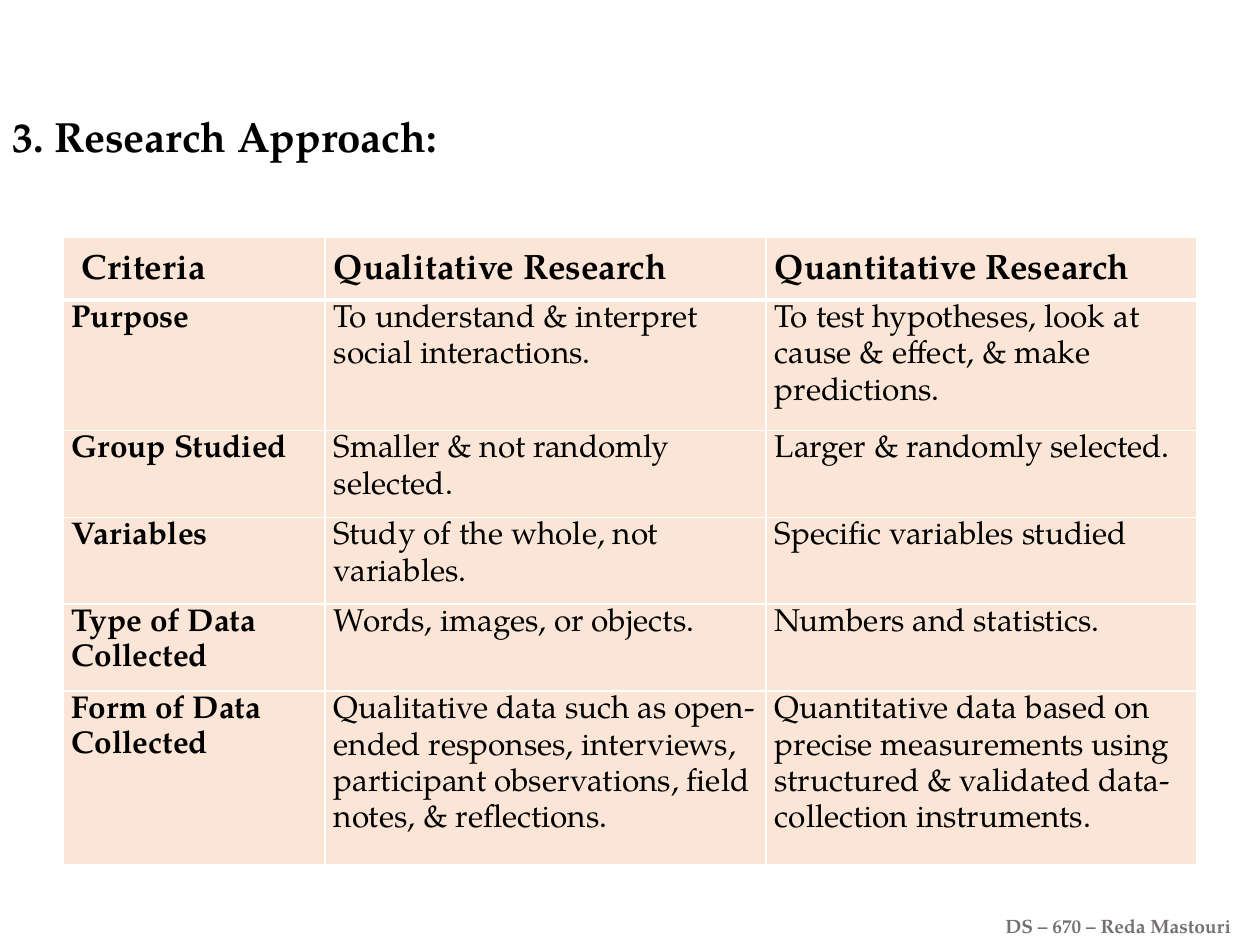
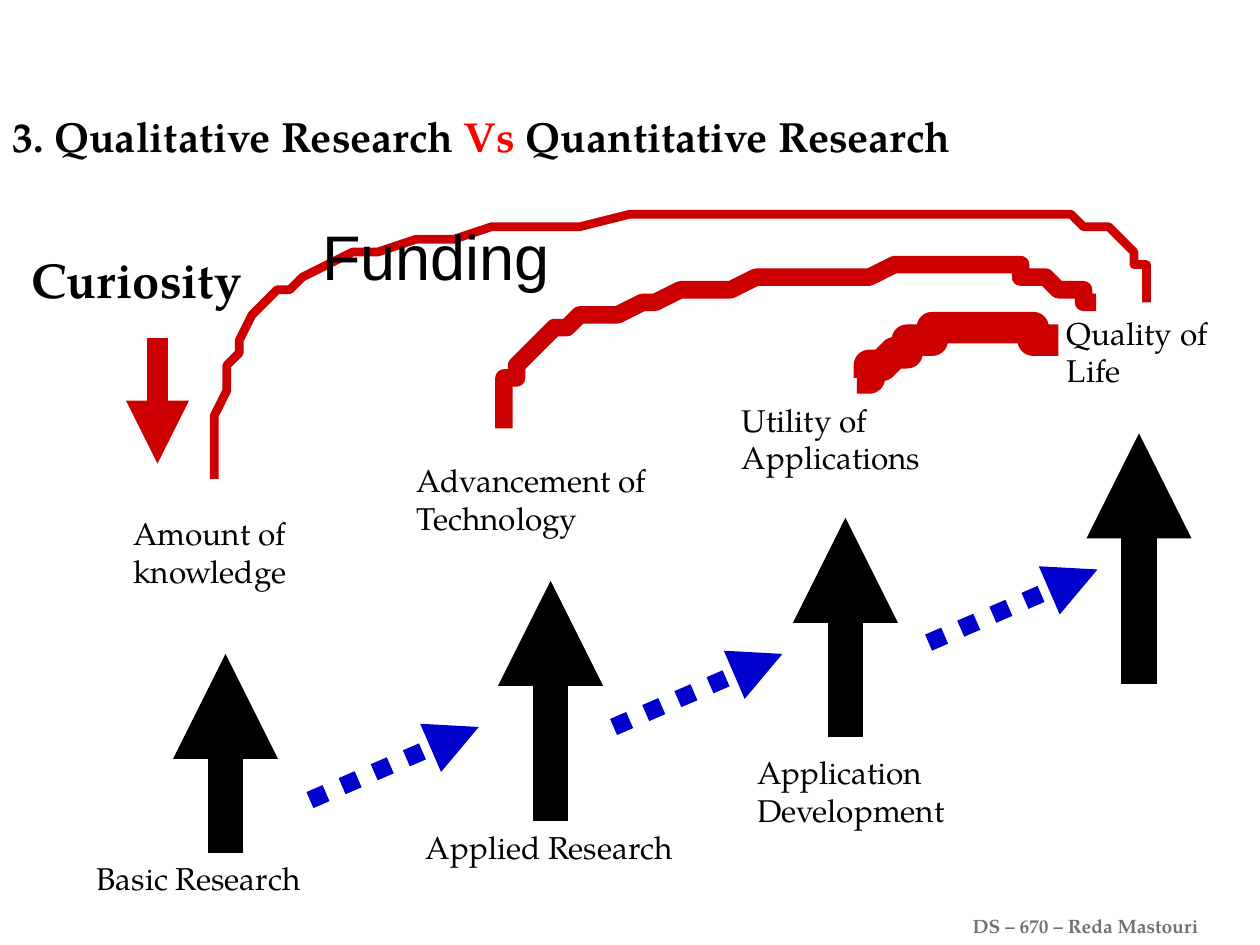
from lxml.etree import SubElement
from pptx import Presentation
from pptx.dml.color import RGBColor
from pptx.enum.dml import MSO_LINE
from pptx.enum.shapes import MSO_CONNECTOR
from pptx.enum.text import MSO_ANCHOR, MSO_AUTO_SIZE
from pptx.oxml import parse_xml
from pptx.oxml.ns import nsdecls, qn
from pptx.util import Inches, Pt

# Shared look
BLACK = RGBColor(0x00, 0x00, 0x00)
WHITE = RGBColor(0xFF, 0xFF, 0xFF)
GREY = RGBColor(0x76, 0x71, 0x71)
RED = RGBColor(0xFF, 0x00, 0x00)
DARK_RED = RGBColor(0xCC, 0x00, 0x00)
BLUE = RGBColor(0x00, 0x00, 0xCC)
PEACH = RGBColor(0xFB, 0xE5, 0xD6)
SERIF, SANS = "TeX Gyre Pagella", "Arial"

# Grid of 100 columns and 75 rows over the slide
prs = Presentation()
prs.slide_width, prs.slide_height = Inches(10), Inches(7.5)
UNIT = prs.slide_width // 100


def add_text(s, x, y, w, h, lines, size, bold=False, font=SERIF, wrap=False):
    """Each line is a list of (text, colour) runs."""
    tf = s.shapes.add_textbox(*(round(v * UNIT) for v in (x, y, w, h))).text_frame
    tf.word_wrap = wrap
    tf.auto_size = MSO_AUTO_SIZE.SHAPE_TO_FIT_TEXT
    for i, runs in enumerate(lines):
        p = tf.add_paragraph() if i else tf.paragraphs[0]
        for text, colour in runs:
            r = p.add_run()
            r.text = text
            r.font.name, r.font.size, r.font.bold = font, Pt(size), bold
            r.font.color.rgb = colour


def add_arrow(s, x1, y1, x2, y2, colour, width, dash=None):
    c = s.shapes.add_connector(
        MSO_CONNECTOR.STRAIGHT, *(round(v * UNIT) for v in (x1, y1, x2, y2)))
    c.line.color.rgb, c.line.width = colour, Pt(width)
    if dash:
        c.line.dash_style = dash
    SubElement(c.line._get_or_add_ln(), qn("a:tailEnd"), type="triangle")
    SubElement(c._element.spPr, qn("a:effectLst"))


# Both slides: footer and title
slides = []
for footer_x, title in (
    (78.8, [("3. Research Approach:", BLACK)]),
    (76.2, [("3. Qualitative Research ", BLACK), ("Vs", RED),
            (" Quantitative Research", BLACK)]),
):
    s = prs.slides.add_slide(prs.slide_layouts[6])
    add_text(s, footer_x, 72.1, 24.5, 2.9, [[("DS – 670 – Reda Mastouri", GREY)]],
             11, bold=True, wrap=True)
    add_text(s, 0, 8.3, 98.4, 5, [title], 24, bold=True, wrap=True)
    slides.append(s)
table_slide, flow_slide = slides

# Slide 1: comparison table
criteria = [
    ("Criteria", "Qualitative Research", "Quantitative Research"),
    ("Purpose", "To understand & interpret social interactions.",
     "To test hypotheses, look at cause & effect, & make predictions."),
    ("Group Studied", "Smaller & not randomly selected.",
     "Larger & randomly selected."),
    ("Variables", "Study of the whole, not variables.",
     "Specific variables studied"),
    ("Type of Data Collected", "Words, images, or objects.",
     "Numbers and statistics."),
    ("Form of Data Collected",
     "Qualitative data such as open-ended responses, interviews, "
     "participant observations, field notes, & reflections.",
     "Quantitative data based on precise measurements using structured "
     "& validated data-collection instruments."),
]
widths, heights = (20.8, 35, 34.2), [5] + [6] * 5
table = table_slide.shapes.add_table(
    len(heights), len(widths), 5 * UNIT, round(18.8 * UNIT),
    90 * UNIT, sum(heights) * UNIT).table
table.horz_banding = False
for column, width in zip(table.columns, widths):
    column.width = round(width * UNIT)
for i, (row, height) in enumerate(zip(table.rows, heights)):
    row.height = height * UNIT
    for j, cell in enumerate(row.cells):
        header = i == 0
        cell.fill.solid()
        cell.fill.fore_color.rgb = PEACH
        cell.margin_left = cell.margin_right = Inches(0.07)
        cell.margin_top = cell.margin_bottom = 0
        cell.vertical_anchor = MSO_ANCHOR.MIDDLE if header else MSO_ANCHOR.TOP
        if header and j == 0:
            cell.margin_left = Inches(0.15)
        p = cell.text_frame.paragraphs[0]
        p.line_spacing = 1.15
        r = p.add_run()
        r.text = criteria[i][j]
        r.font.name, r.font.size = SERIF, Pt(20 if header else 18)
        r.font.bold, r.font.color.rgb = header or j == 0, BLACK
        # White borders, heavier around the header's lower edge
        tc_pr = cell._tc.get_or_add_tcPr()
        for k, side in enumerate("LRTB"):
            heavy = (header and side == "B") or (i == 1 and side == "T")
            tc_pr.insert(k, parse_xml(
                f'<a:ln{side} {nsdecls("a")} w="{Pt(3 if heavy else 1)}"><a:solidFill>'
                f'<a:srgbClr val="{WHITE}"/></a:solidFill></a:ln{side}>'))

# Slide 2: upright arrows (x, foot, tip)
s = flow_slide
for x, foot, tip in ((17.9, 67.7, 51.9), (43.7, 65.2, 46.1),
                     (67.1, 58.5, 41.1), (90.4, 54.3, 34.4)):
    add_arrow(s, x, foot, x, tip, BLACK, 20)

# Dotted arrows from stage to stage
for x, y in ((24.6, 63.5), (48.7, 57.7), (73.7, 51)):
    add_arrow(s, x, y, x + 13.4, y - 5.8, BLUE, 10, MSO_LINE.ROUND_DOT)

# Results above and stages below the arrows
for x, y, w, lines in (
    (9.6, 40.3, 14.9, ("Amount of", "knowledge")),
    (32.1, 36.1, 21.2, ("Advancement of", "Technology")),
    (57.9, 31.3, 16.4, ("Utility of", "Applications")),
    (83.7, 24.4, 14, ("Quality of", "Life")),
    (6.7, 67.7, 18.4, ("Basic Research",)),
    (32.8, 65.2, 21.9, ("Applied Research",)),
    (59.1, 59.3, 17.1, ("Application", "Development")),
):
    add_text(s, x, y, w, 0.9 + 3.1 * len(lines), [[(t, BLACK)] for t in lines], 18)

# Funding curves: a start point, then Bezier segments of three points
STEPS = 16
for width, points in (
    (18, [(83.7, 26.9), (80.9, 26.2), (78, 25.5), (75.4, 26.1),
          (72.8, 26.6), (69.1, 29.4), (67.9, 30.3)]),
    (10, [(87.1, 24.4), (84.6, 22.7), (82.2, 21), (75.4, 21.1),
          (68.6, 21.2), (52.2, 23.2), (46.2, 25.3),
          (40.3, 27.4), (39.9, 30.5), (39.6, 33.6)]),
    (5, [(91.2, 23.6), (90.7, 20.5), (90.1, 17.5), (79.6, 16.9),
         (69, 16.4), (38.3, 16.8), (27.9, 20.3),
         (17.5, 23.7), (17.3, 30.7), (17.1, 37.8)]),
):
    curve = []
    for a in range(0, len(points) - 1, 3):
        for n in range(1, STEPS + 1):
            t = n / STEPS
            weights = ((1 - t) ** 3, 3 * t * (1 - t) ** 2, 3 * t * t * (1 - t), t ** 3)
            curve.append(tuple(
                sum(k * pt[axis] for k, pt in zip(weights, points[a:a + 4]))
                for axis in (0, 1)))
    builder = s.shapes.build_freeform(*points[0], scale=UNIT)
    builder.add_line_segments(curve, close=False)
    sp = builder.convert_to_shape()
    sp.shadow.inherit = False
    sp.fill.background()
    sp.line.color.rgb, sp.line.width = DARK_RED, Pt(width)

# Drivers: funding and curiosity
add_text(s, 24.6, 16.8, 21.7, 6.5, [[("Funding", BLACK)]], 36, font=SANS, wrap=True)
add_text(s, 1.5, 19.3, 18.9, 5.7, [[("Curiosity", BLACK)]], 28, bold=True)
add_arrow(s, 12.5, 26.8, 12.5, 36.8, DARK_RED, 12)

prs.save("out.pptx")
